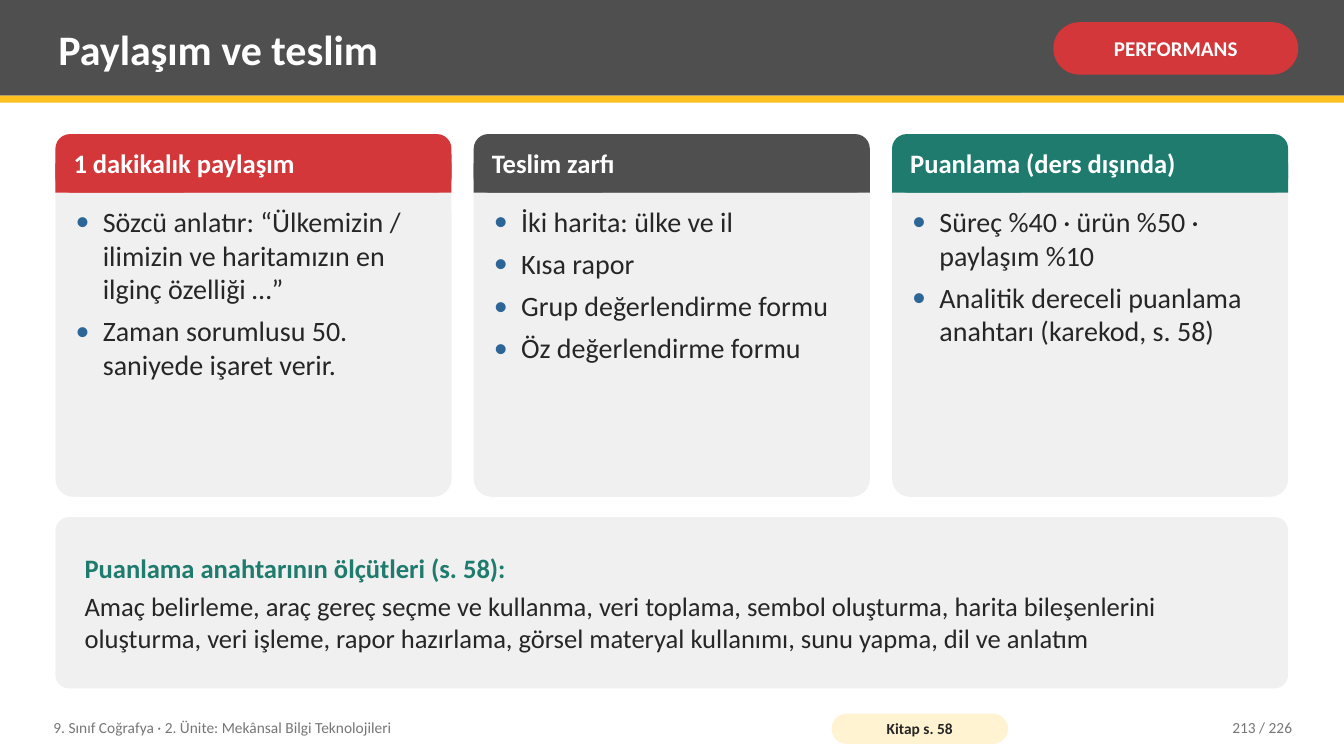
from lxml.etree import SubElement
from pptx import Presentation
from pptx.dml.color import RGBColor
from pptx.enum.shapes import MSO_SHAPE as Shape
from pptx.enum.text import MSO_ANCHOR as Anchor, PP_ALIGN as Align
from pptx.oxml.ns import qn
from pptx.util import Pt

RED, GRAY, GREEN = "D3373A", "4F4F4F", "1E7B6E"
GOLD, CREAM, BLUE = "FCC021", "FFF3D1", "2C6696"
PALE, INK, MUTED, WHITE = "F0F0F0", "262626", "767676", "FFFFFF"

LEFT, TOP = 39.6, 95.76
CARD_W, CARD_H, HEAD_H = 282.96, 259.2, 41.76
STEP = 298.8

CARDS = [
    ("1 dakikalık paylaşım", RED, [
        "Sözcü anlatır: “Ülkemizin / ilimizin ve haritamızın en ilginç özelliği …”",
        "Zaman sorumlusu 50. saniyede işaret verir."]),
    ("Teslim zarfı", GRAY, [
        "İki harita: ülke ve il",
        "Kısa rapor",
        "Grup değerlendirme formu",
        "Öz değerlendirme formu"]),
    ("Puanlama (ders dışında)", GREEN, [
        "Süreç %40 · ürün %50 · paylaşım %10",
        "Analitik dereceli puanlama anahtarı (karekod, s. 58)"]),
]


def rgb(color):
    return RGBColor.from_string(color)


class Deck:
    font = "Calibri"
    inset = (5.76, 2.88)

    def __init__(self, wide, high):
        self.prs = Presentation()
        self.prs.slide_width, self.prs.slide_height = Pt(wide), Pt(high)
        self.slide = self.prs.slides.add_slide(self.prs.slide_layouts[6])

    def block(self, x, y, w, h, fill, round=None):
        """Add a filled rectangle, rounded when a corner ratio is given."""
        kind = Shape.RECTANGLE if round is None else Shape.ROUNDED_RECTANGLE
        shape = self.slide.shapes.add_shape(kind, Pt(x), Pt(y), Pt(w), Pt(h))
        if round is not None:
            shape.adjustments[0] = round
        shape.shadow.inherit = False
        shape.fill.solid()
        shape.fill.fore_color.rgb = rgb(fill)
        shape.line.fill.background()
        return shape

    def box(self, x, y, w, h):
        return self.slide.shapes.add_textbox(Pt(x), Pt(y), Pt(w), Pt(h))

    def label(self, shape, lines, size, color, bold=False, align=Align.LEFT,
              anchor=Anchor.MIDDLE, inset=None, gap=0):
        """Set one paragraph per line and return the paragraphs."""
        frame = shape.text_frame
        frame.word_wrap = True
        frame.vertical_anchor = anchor
        side, edge = inset or self.inset
        frame.margin_left = frame.margin_right = Pt(side)
        frame.margin_top = frame.margin_bottom = Pt(edge)
        frame.text = "\n".join(lines)
        for para in frame.paragraphs:
            para.alignment = align
            for run in para.runs:
                self.style(run.font, size, color, bold)
        for para in frame.paragraphs[:-1]:
            para.space_after = Pt(gap)
        return frame.paragraphs

    def style(self, font, size, color, bold):
        font.name, font.size, font.bold = self.font, Pt(size), bold
        font.color.rgb = rgb(color)

    def bullet(self, para, color, indent):
        props = para._p.get_or_add_pPr()
        props.set("marL", str(Pt(indent)))
        props.set("indent", str(-Pt(indent)))
        tint = SubElement(props, qn("a:buClr"))
        SubElement(tint, qn("a:srgbClr")).set("val", color)
        SubElement(props, qn("a:buFont")).set("typeface", self.font)
        SubElement(props, qn("a:buChar")).set("char", "•")

    def card(self, x, title, color, items):
        self.block(x, TOP, CARD_W, CARD_H, PALE, 0.05)
        self.block(x, TOP, CARD_W, HEAD_H, color, 0.25)
        self.block(x, TOP + HEAD_H / 2, CARD_W, HEAD_H / 2, color)
        head = self.box(x + 7.2, TOP, CARD_W - 14.4, HEAD_H)
        self.label(head, [title], 19, WHITE, True)
        body = self.box(x + 8.64, TOP + 47.52, CARD_W - 17.28, 205.92)
        for para in self.label(body, items, 20, INK, anchor=Anchor.TOP, gap=6):
            self.bullet(para, BLUE, 19.44)

    def pill(self, x, y, w, h, fill, text, size, color):
        shape = self.block(x, y, w, h, fill, 0.5)
        self.label(shape, [text], size, color, True, Align.CENTER,
                   inset=(2.88, 0))


def main():
    deck = Deck(960, 540)

    deck.block(0, 0, 960, 68.4, GRAY)
    deck.block(0, 68.4, 960, 5.04, GOLD)
    deck.label(deck.box(36, 5.04, 702, 59.04), ["Paylaşım ve teslim"],
               30, WHITE, True)
    deck.pill(752.4, 15.84, 174.96, 37.44, RED, "PERFORMANS", 15, WHITE)

    for i, (title, color, items) in enumerate(CARDS):
        deck.card(LEFT + i * STEP, title, color, items)

    panel = deck.block(LEFT, 369.36, 2 * STEP + CARD_W, 122.4, PALE, 0.08)
    head, _ = deck.label(panel, [
        "Puanlama anahtarının ölçütleri (s. 58):",
        "Amaç belirleme, araç gereç seçme ve kullanma, veri toplama, "
        "sembol oluşturma, harita bileşenlerini oluşturma, veri işleme, "
        "rapor hazırlama, görsel materyal kullanımı, sunu yapma, "
        "dil ve anlatım"], 19, INK, inset=(18, 5.76), gap=4)
    deck.style(head.runs[0].font, 19, GREEN, True)

    deck.label(deck.box(32.4, 506.88, 547.2, 25.92),
               ["9. Sınıf Coğrafya · 2. Ünite: Mekânsal Bilgi Teknolojileri"],
               11, MUTED)
    deck.pill(594, 509.76, 126, 21.6, CREAM, "Kitap s. 58", 11, INK)
    deck.label(deck.box(813.6, 506.88, 115.2, 25.92), ["213 / 226"],
               11, MUTED, align=Align.RIGHT)

    deck.prs.save("out.pptx")


if __name__ == "__main__":
    main()
